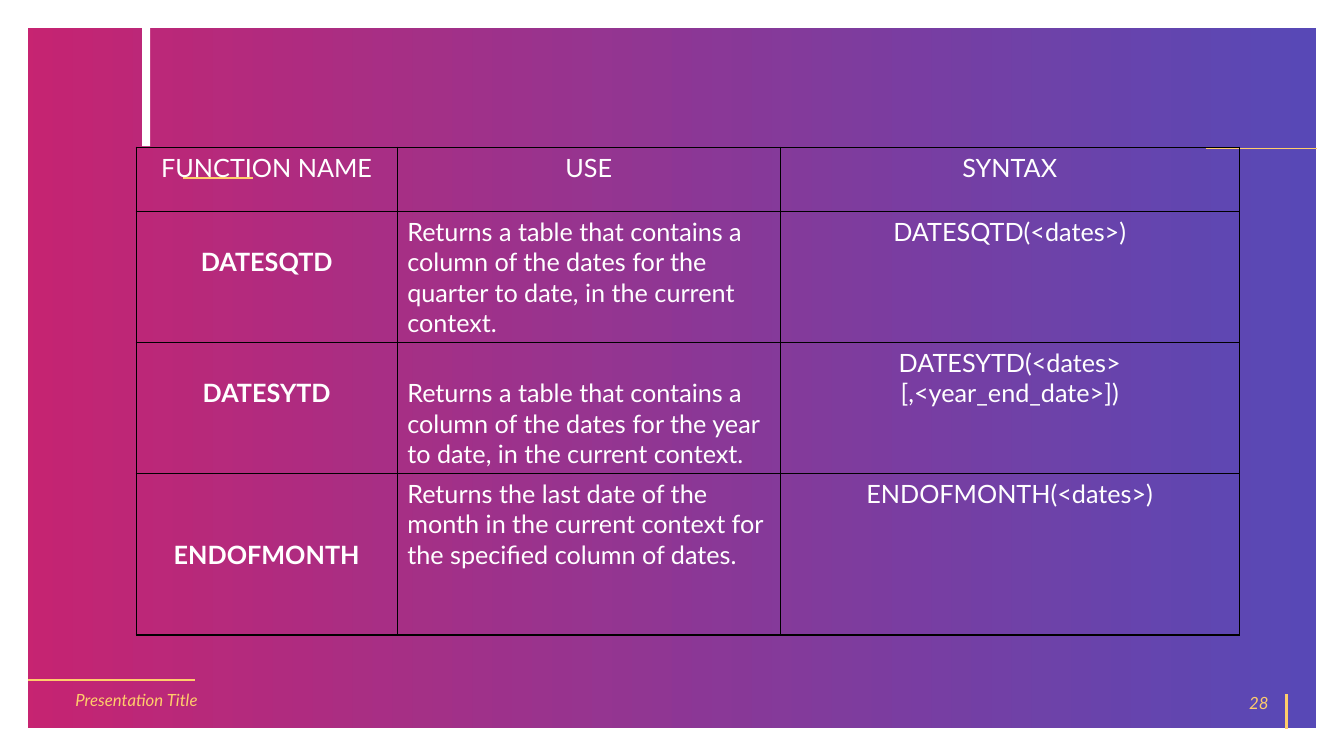
from lxml.etree import SubElement
from pptx import Presentation
from pptx.dml.color import RGBColor
from pptx.enum.shapes import MSO_CONNECTOR, MSO_SHAPE
from pptx.enum.text import MSO_ANCHOR, PP_ALIGN
from pptx.oxml.ns import qn
from pptx.util import Inches, Pt

FONT = "Lato"
WHITE, GOLD, BLACK = "FFFFFF", "FFCD6B", "000000"
GRADIENT = ["BE005A", "3B2CAC"]
OPACITY = 85

# x1, y1, x2, y2, width in points
ACCENT_LINES = [
    (1.82, 1.77, 2.51, 1.77, 1.5),
    (11.96, 1.47, 13.06, 1.47, 0.5),
    (12.76, 7.23, 12.76, 6.89, 1.5),
    (0.28, 6.75, 1.93, 6.75, 1.5),
]
# text, left, top, width, alignment
FOOTERS = [
    ("Presentation Title", 0.65, 6.74, 3.05, PP_ALIGN.LEFT),
    ("28", 9.68, 6.77, 3, PP_ALIGN.RIGHT),
]

TABLE_LEFT, TABLE_TOP = 1.35, 1.46
COL_WIDTHS = [2.59, 3.8, 4.55]
ROW_HEIGHTS = [0.64, 1.3, 1.3, 1.6]
TEXT_LINE = 0.3
# each cell: text, number of text lines it is lowered by
ROWS = [
    [("FUNCTION NAME", 0), ("USE", 0), ("SYNTAX", 0)],
    [("DATESQTD", 1),
     ("Returns a table that contains a column of the dates for the quarter "
      "to date, in the current context.", 0),
     ("DATESQTD(<dates>)", 0)],
    [("DATESYTD", 1),
     ("Returns a table that contains a column of the dates for the year "
      "to date, in the current context.", 1),
     ("DATESYTD(<dates> [,<year_end_date>])", 0)],
    [("ENDOFMONTH", 2),
     ("Returns the last date of the month in the current context for the "
      "specified column of dates.", 0),
     ("ENDOFMONTH(<dates>)", 0)],
]


def rgb(color):
    return RGBColor.from_string(color)


def add_rect(slide, left, top, width, height):
    sp = slide.shapes.add_shape(MSO_SHAPE.RECTANGLE, Inches(left), Inches(top),
                                Inches(width), Inches(height))
    sp.shadow.inherit = False
    return sp


def add_background(slide):
    sp = add_rect(slide, 0.13, 0.13, 13.07, 7.24)
    sp.fill.gradient()
    sp.fill.gradient_angle = 0
    for stop, color in zip(sp.fill.gradient_stops, GRADIENT):
        stop.color.rgb = rgb(color)
    for clr in sp._element.spPr.iter(qn("a:srgbClr")):
        SubElement(clr, qn("a:alpha"), val=str(OPACITY * 1000))
    sp.line.color.rgb = rgb(WHITE)
    sp.line.width = Pt(21.5)


def add_bar(slide):
    sp = add_rect(slide, 1.41, 0.27, 0.08, 1.18)
    sp.fill.solid()
    sp.fill.fore_color.rgb = rgb(WHITE)
    sp.line.fill.background()


def add_line(slide, x1, y1, x2, y2, width):
    cxn = slide.shapes.add_connector(MSO_CONNECTOR.STRAIGHT, Inches(x1),
                                     Inches(y1), Inches(x2), Inches(y2))
    cxn.line.color.rgb = rgb(GOLD)
    cxn.line.width = Pt(width)
    SubElement(cxn._element.spPr, qn("a:effectLst"))


def write(tf, text, size, color, align, bold=False, italic=False):
    p = tf.paragraphs[0]
    p.alignment = align
    r = p.add_run()
    r.text = text
    r.font.name = FONT
    r.font.size = Pt(size)
    r.font.bold = bold
    r.font.italic = italic
    r.font.color.rgb = rgb(color)


def add_footer(slide, text, left, top, width, align):
    box = slide.shapes.add_textbox(Inches(left), Inches(top), Inches(width),
                                   Inches(0.4))
    tf = box.text_frame
    tf.word_wrap = True
    tf.vertical_anchor = MSO_ANCHOR.MIDDLE
    write(tf, text, 12, GOLD, align, italic=True)


def set_borders(cell):
    """Draw all four cell borders; they must precede the cell's fill."""
    tcPr = cell._tc.get_or_add_tcPr()
    for side in ("lnL", "lnR", "lnT", "lnB"):
        ln = SubElement(tcPr, qn(f"a:{side}"), w=str(Pt(1)))
        fill = SubElement(ln, qn("a:solidFill"))
        SubElement(fill, qn("a:srgbClr"), val=BLACK)


def add_function_table(slide):
    table = slide.shapes.add_table(
        len(ROWS), len(COL_WIDTHS), Inches(TABLE_LEFT), Inches(TABLE_TOP),
        Inches(sum(COL_WIDTHS)), Inches(sum(ROW_HEIGHTS))).table
    table.first_row = False
    table.horz_banding = False
    for col, width in zip(table.columns, COL_WIDTHS):
        col.width = Inches(width)
    for row, height in zip(table.rows, ROW_HEIGHTS):
        row.height = Inches(height)
    for i, row in enumerate(ROWS):
        for j, (text, lowered) in enumerate(row):
            cell = table.cell(i, j)
            set_borders(cell)
            cell.fill.background()
            cell.margin_top = Inches(0.05 + lowered * TEXT_LINE)
            is_use = i > 0 and j == 1
            align = PP_ALIGN.LEFT if is_use else PP_ALIGN.CENTER
            write(cell.text_frame, text, 18, WHITE, align,
                  bold=i > 0 and j == 0)


def main():
    prs = Presentation()
    prs.slide_width, prs.slide_height = Inches(13.33), Inches(7.5)
    slide = prs.slides.add_slide(prs.slide_layouts[6])
    add_background(slide)
    add_bar(slide)
    for line in ACCENT_LINES:
        add_line(slide, *line)
    for footer in FOOTERS:
        add_footer(slide, *footer)
    add_function_table(slide)
    prs.save("out.pptx")


if __name__ == "__main__":
    main()
